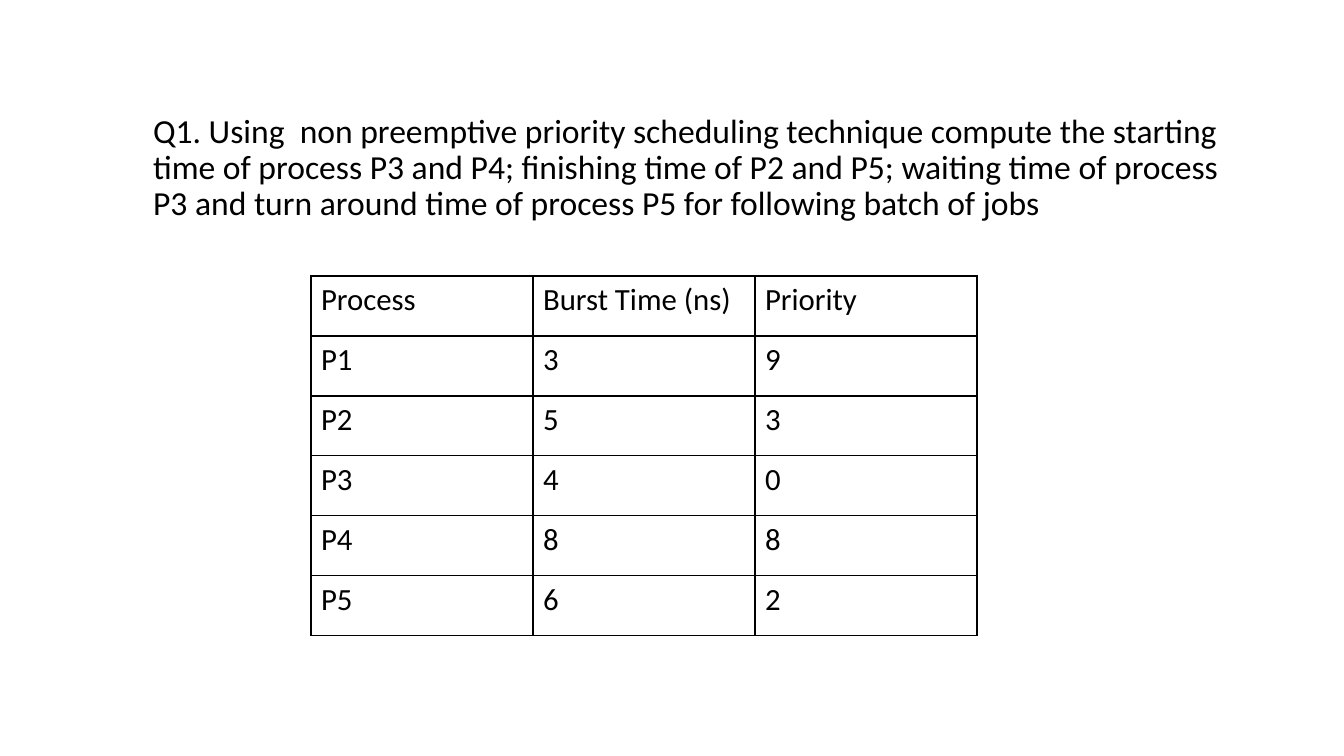
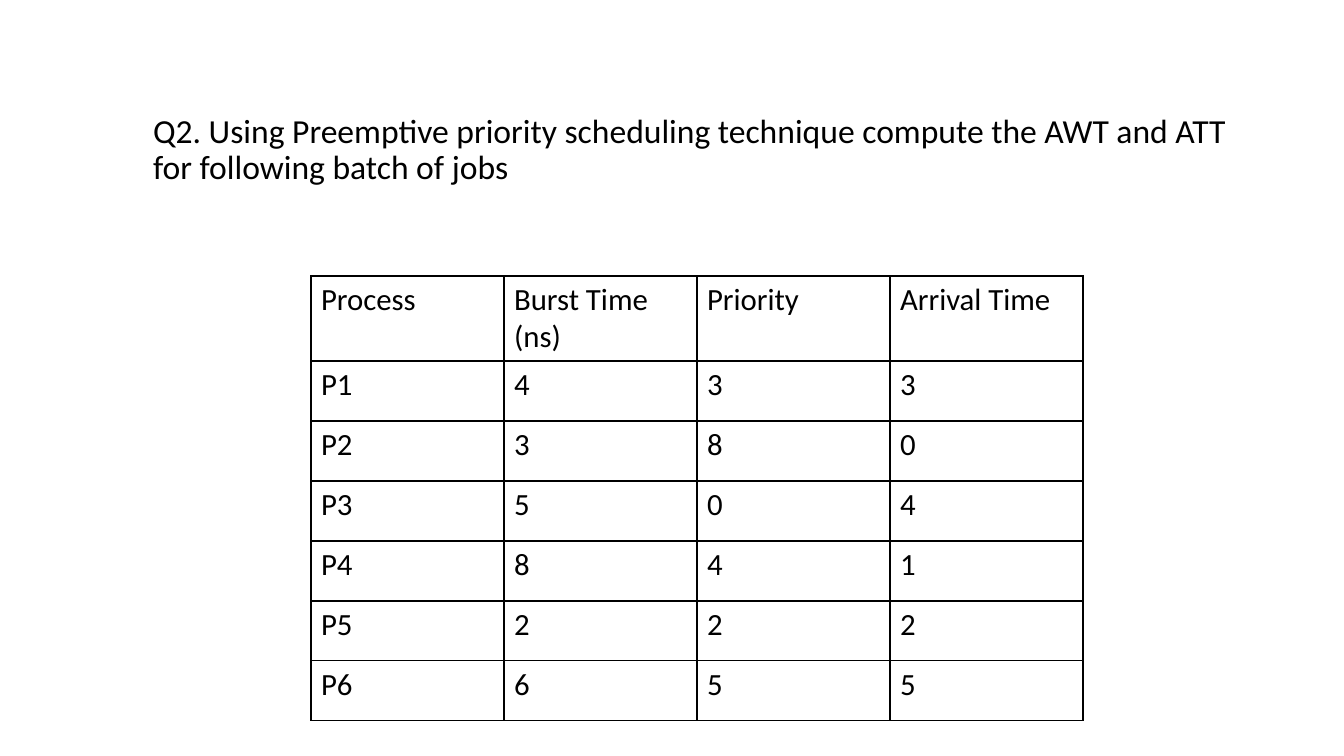
from lxml.etree import SubElement
from pptx import Presentation
from pptx.dml.color import RGBColor
from pptx.enum.text import MSO_ANCHOR as Anchor, MSO_AUTO_SIZE as Fit, PP_ALIGN as Align
from pptx.oxml.ns import qn
from pptx.util import Emu, Pt

JOBS = [
    {
        "title": "Q1. Using  non preemptive priority scheduling technique compute the "
                 "starting time of process P3 and P4; finishing time of P2 and P5; "
                 "waiting time of process P3 and turn around time of process P5 "
                 "for following batch of jobs",
        "head": ("Process", "Burst Time (ns)", "Priority"),
        "rows": [(3, 9), (5, 3), (4, 0), (8, 8), (6, 2)],
        "col": 222,
        "top_row": 60,
    },
    {
        "title": "Q2. Using Preemptive priority scheduling technique compute the "
                 "AWT and ATT for following batch of jobs",
        "head": ("Process", "Burst Time (ns)", "Priority", "Arrival Time"),
        "rows": [(4, 3, 3), (3, 8, 0), (5, 0, 4), (8, 4, 1), (2, 2, 2), (6, 5, 5)],
        "col": 193,
        "top_row": 85,
    },
]

BLACK = RGBColor(0, 0, 0)
WHITE = RGBColor(255, 255, 255)
SIZE = (1344, 756)
TITLE_BOX = {"left": 143, "top": 109, "width": 1115, "height": 565}
GRID_AT = (311, 276)
ROW = 60
FONT = {"name": "Calibri", "bold": False}
FRAME = {"word_wrap": True, "auto_size": Fit.NONE, "vertical_anchor": Anchor.TOP}
PARA = {"alignment": Align.LEFT, "line_spacing": 0.9, "space_before": Pt(10)}
PLAIN = {"first_row": False, "horz_banding": False}


def px(n):
    """Turn picture pixels into EMU."""
    return Emu(round(n * 914400 / 100.8))


def put(item, form):
    """Set each attribute in form on item."""
    for name, value in form.items():
        setattr(item, name, value)


def style(font, size):
    """Give a font the shared face and colour."""
    put(font, {**FONT, "size": Pt(size)})
    font.color.rgb = BLACK


def border(cell):
    """Draw a black line on all four sides of a cell."""
    props = cell._tc.get_or_add_tcPr()
    for side in "LRTB":
        line = SubElement(props, qn("a:ln" + side), w=str(Pt(1)))
        fill = SubElement(line, qn("a:solidFill"))
        SubElement(fill, qn("a:srgbClr"), val=str(BLACK))


def add_title(slide, text):
    """Place and format the question."""
    title = slide.shapes.title
    put(title, {key: px(n) for key, n in TITLE_BOX.items()})
    frame = title.text_frame
    frame.text = text
    put(frame, FRAME)
    para = frame.paragraphs[0]
    put(para, PARA)
    style(para.runs[0].font, 24)


def add_grid(slide, job):
    """Add the table of processes, numbered by row."""
    data = [job["head"]]
    data += [(f"P{i}", *row) for i, row in enumerate(job["rows"], 1)]
    cols = len(job["head"])
    tall = job["top_row"] + ROW * len(job["rows"])
    box = [px(n) for n in (*GRID_AT, job["col"] * cols, tall)]
    table = slide.shapes.add_table(len(data), cols, *box).table
    put(table, PLAIN)
    for col in table.columns:
        col.width = px(job["col"])
    for r, row in enumerate(data):
        table.rows[r].height = px(ROW if r else job["top_row"])
        for c, value in enumerate(row):
            cell = table.cell(r, c)
            cell.text = str(value)
            style(cell.text_frame.paragraphs[0].runs[0].font, 22)
            border(cell)
            cell.fill.solid()
            cell.fill.fore_color.rgb = WHITE


deck = Presentation()
deck.slide_width, deck.slide_height = map(px, SIZE)
layout = deck.slide_layouts.get_by_name("Title Only")
for job in JOBS:
    slide = deck.slides.add_slide(layout)
    add_title(slide, job["title"])
    add_grid(slide, job)
deck.save("out.pptx")
